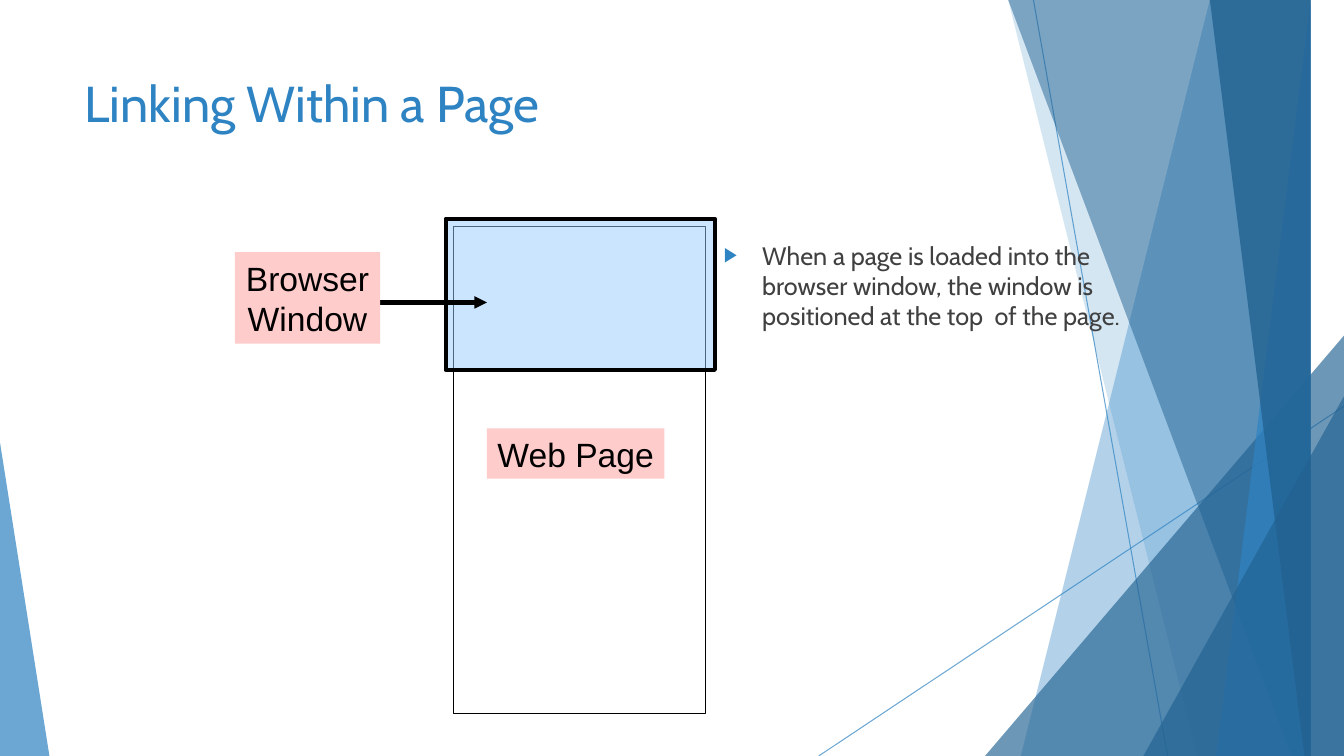
import pptx
import pptx.util
import pptx.dml.color
import pptx.enum.shapes
import pptx.enum.text
import pptx.oxml.ns
import pptx.oxml.xmlchemy
from pptx.util import Inches

WIDTH, HEIGHT = 13.33, 7.5
BLUE, DARK_BLUE, BLACK, PINK = "2E83C3", "226292", "000000", "FFCCCC"
SHAPES = pptx.enum.shapes.MSO_SHAPE
ALIGN = pptx.enum.text.PP_ALIGN
ANCHOR = pptx.enum.text.MSO_ANCHOR


def rgb(code):
    """Turn a hex string into a colour."""
    return pptx.dml.color.RGBColor.from_string(code)


def make_xml(tag, **attributes):
    """Make an empty drawing element."""
    element = pptx.oxml.xmlchemy.OxmlElement(tag)
    for key, value in attributes.items():
        element.set(key, str(value))
    return element


def set_opacity(shape, percent):
    """Make the first colour of a shape see-through."""
    color = shape.element.spPr.find(".//" + pptx.oxml.ns.qn("a:srgbClr"))
    color.append(make_xml("a:alpha", val=percent * 1000))


def style(shape, fill, opacity=100, line=None):
    """Give a shape its fill and an optional black outline."""
    shape.shadow.inherit = False
    shape.fill.solid()
    shape.fill.fore_color.rgb = rgb(fill)
    if opacity < 100:
        set_opacity(shape, opacity)
    if line:
        shape.line.color.rgb = rgb(BLACK)
        shape.line.width = pptx.util.Pt(line)
    else:
        shape.line.fill.background()
    return shape


def add_box(slide, left, top, width, height, fill, **look):
    """Add a rectangle."""
    box = slide.shapes.add_shape(
        SHAPES.RECTANGLE, Inches(left), Inches(top), Inches(width), Inches(height))
    return style(box, fill, **look)


def add_triangle(slide, left, top, width, apex, fill, opacity):
    """Add a triangle standing on the bottom edge of the slide."""
    triangle = slide.shapes.add_shape(
        SHAPES.ISOSCELES_TRIANGLE, Inches(left), Inches(top),
        Inches(width), Inches(HEIGHT - top))
    triangle.adjustments[0] = apex
    style(triangle, fill, opacity)


def add_band(slide, top_left, bottom_left, fill, opacity):
    """Add a full-height band that reaches the right edge of the slide."""
    builder = slide.shapes.build_freeform(top_left, -0.01, scale=Inches(1))
    builder.add_line_segments(
        [(WIDTH, -0.01), (WIDTH, HEIGHT), (bottom_left, HEIGHT)], close=True)
    style(builder.convert_to_shape(), fill, opacity)


def add_line(slide, start, end, color, width, opacity=100, arrow=False):
    """Add a straight line, with an arrowhead at its end if wanted."""
    line = slide.shapes.add_connector(
        pptx.enum.shapes.MSO_CONNECTOR.STRAIGHT,
        *(Inches(value) for value in (*start, *end)))
    line.line.color.rgb = rgb(color)
    line.line.width = pptx.util.Pt(width)
    if opacity < 100:
        set_opacity(line, opacity)
    properties = line.element.spPr
    if arrow:
        properties.get_or_add_ln().append(make_xml("a:tailEnd", type="triangle"))
    properties.append(make_xml("a:effectLst"))


def write(shape, text, size, color, font="Cabin", align=ALIGN.LEFT,
          anchor=ANCHOR.TOP, wrap=True):
    """Write text into a shape, one paragraph per line."""
    frame = shape.text_frame
    frame.text = text
    frame.word_wrap = wrap
    frame.auto_size = pptx.enum.text.MSO_AUTO_SIZE.NONE
    frame.vertical_anchor = anchor
    for paragraph in frame.paragraphs:
        paragraph.alignment = align
        paragraph.font.size = pptx.util.Pt(size)
        paragraph.font.name = font
        paragraph.font.color.rgb = rgb(color)


def add_label(slide, left, top, width, height, text):
    """Add a pink label that names a part of the diagram."""
    write(add_box(slide, left, top, width, height, PINK), text, 24, BLACK,
          font="Arial", align=ALIGN.CENTER, anchor=ANCHOR.MIDDLE, wrap=False)


def place(slide, placeholder, left, top, width, height):
    """Move a placeholder and bring it to the front."""
    placeholder.left, placeholder.top = Inches(left), Inches(top)
    placeholder.width, placeholder.height = Inches(width), Inches(height)
    slide.shapes.element.append(placeholder.element)


def add_bullet(paragraph):
    """Give a paragraph a blue arrow bullet with a hanging indent."""
    paragraph.space_before = pptx.util.Pt(10)
    properties = paragraph._p.get_or_add_pPr()
    properties.set("marL", str(Inches(0.38)))
    properties.set("indent", str(Inches(-0.38)))
    bullet_color = make_xml("a:buClr")
    bullet_color.append(make_xml("a:srgbClr", val=BLUE))
    spacing = properties.find(pptx.oxml.ns.qn("a:spcBef"))
    for part in (make_xml("a:buChar", char="\u25b6"),
                 make_xml("a:buSzPct", val=80000), bullet_color):
        spacing.addnext(part)


def add_backdrop(slide):
    """Draw the overlapping blue facets at the slide edges."""
    add_line(slide, (10.25, 0), (11.58, HEIGHT), BLUE, 0.75, opacity=70)
    add_line(slide, (WIDTH, 4.03), (8.12, HEIGHT), BLUE, 0.75, opacity=70)
    add_band(slide, 12.28, 10.04, BLUE, 36)
    add_band(slide, 10.5, 11.83, BLUE, 20)
    add_triangle(slide, 9.77, 3.33, 3.56, 1, DARK_BLUE, 66)
    add_band(slide, 10.21, 12.91, DARK_BLUE, 50)
    add_band(slide, 13.03, 11.92, BLUE, 70)
    add_band(slide, 11.96, 13.18, DARK_BLUE, 80)
    add_triangle(slide, 11.34, 3.93, 1.99, 1, DARK_BLUE, 66)
    add_triangle(slide, 0, 4.39, 0.49, 0, BLUE, 70)


def add_diagram(slide):
    """Draw the browser window over the top of the web page."""
    add_box(slide, 4.5, 2.25, 2.5, 4.83, "FFFFFF", line=0.75)
    add_box(slide, 4.42, 2.17, 2.67, 1.5, "99CCFF", opacity=50, line=3)
    add_line(slide, (3.67, 3), (4.83, 3), BLACK, 3, arrow=True)
    add_label(slide, 2.33, 2.5, 1.44, 0.91, "Browser\nWindow")
    add_label(slide, 4.83, 4.25, 1.76, 0.5, "Web Page")


def main():
    """Build the slide and save it."""
    deck = pptx.Presentation()
    deck.slide_width, deck.slide_height = Inches(WIDTH), Inches(HEIGHT)
    slide = deck.slides.add_slide(deck.slide_layouts[1])
    title, explanation = slide.placeholders
    add_backdrop(slide)
    place(slide, title, 0.74, 0.67, 9.4, 1.44)
    write(title, "Linking Within a Page", 36, BLUE)
    place(slide, explanation, 7.08, 2.33, 4.58, 4.5)
    write(explanation, "When a page is loaded into the browser window, the window "
          "is positioned at the top  of the page.", 18, "404040")
    add_bullet(explanation.text_frame.paragraphs[0])
    add_diagram(slide)
    deck.save("out.pptx")


main()
